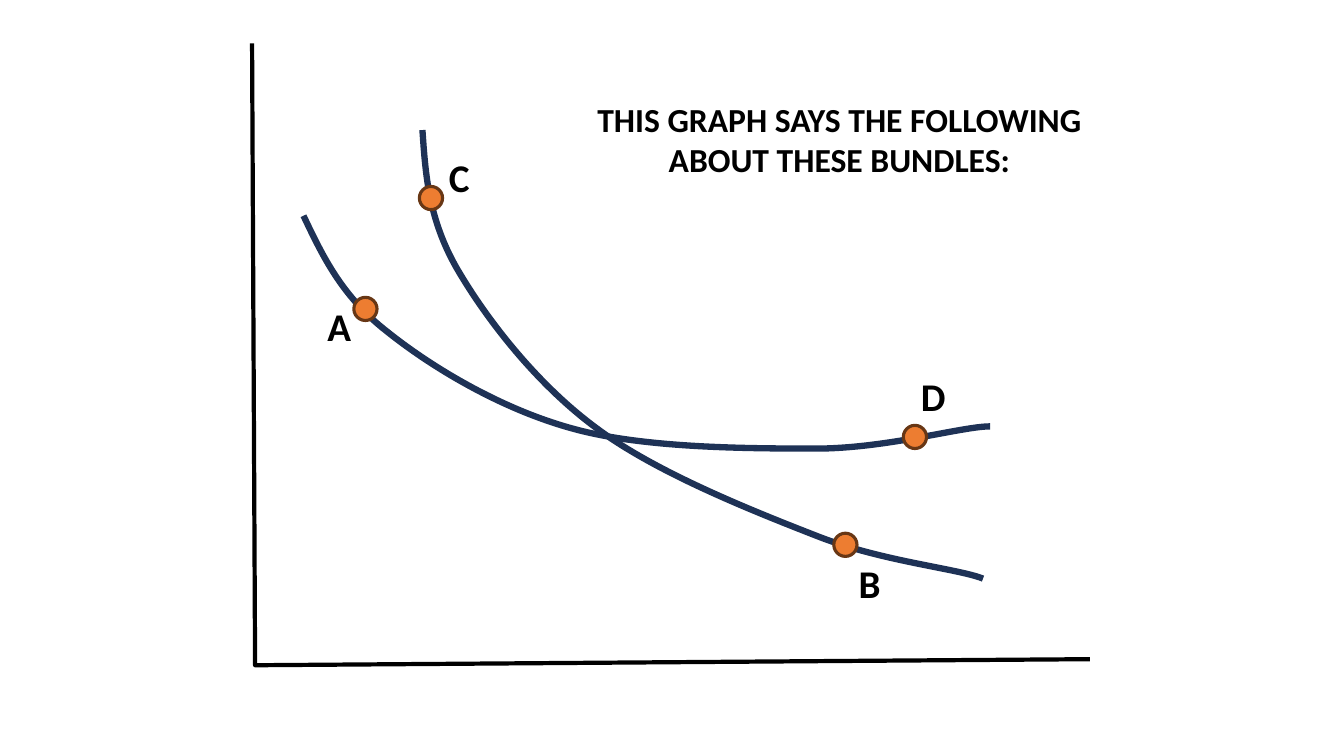
from lxml import etree
from pptx import Presentation
from pptx.dml.color import RGBColor
from pptx.enum.shapes import MSO_SHAPE as SHAPE
from pptx.enum.text import MSO_ANCHOR as ANCHOR, MSO_AUTO_SIZE as AUTO, PP_ALIGN as ALIGN
from pptx.oxml.ns import qn
from pptx.util import Inches, Pt

COLORS = {"ink": "000000", "curve": "1E3256", "dot": "ED7D31", "rim": "683715", "paper": "FFFFFF"}
AXES = [(2.5, 0.43), (2.53, 6.6), (10.81, 6.54)]
CURVES = [
    [(3.01, 2.14), (3.2, 2.54), (3.39, 2.94), (3.84, 3.29), (4.29, 3.65), (4.99, 4.07), (5.71, 4.26),
     (6.42, 4.45), (7.46, 4.45), (8.14, 4.45), (8.83, 4.44), (9.55, 4.23), (9.82, 4.23)],
    [(4.19, 1.29), (4.22, 1.73), (4.25, 2.17), (4.53, 2.66), (4.82, 3.16), (5.32, 3.81), (5.92, 4.25),
     (6.51, 4.69), (7.47, 5.07), (8.11, 5.32), (8.75, 5.57), (9.5, 5.64), (9.75, 5.74)],
]
BUNDLES = [
    ("C", (4.16, 1.85), (4.31, 1.47)),
    ("A", (3.51, 2.95), (3.12, 2.95)),
    ("D", (8.96, 4.22), (9.01, 3.64)),
    ("B", (8.27, 5.29), (8.38, 5.5)),
]


class GraphSlide:
    font = "Calibri"

    def __init__(self, prs):
        self.s = prs.slides.add_slide(prs.slide_layouts[5])
        fill = self.s.background.fill
        fill.solid()
        fill.fore_color.rgb = self.color("paper")

    def color(self, name):
        return RGBColor.from_string(COLORS[name])

    def outline(self, sp, color, width):
        sp.shadow.inherit = False
        sp.line.color.rgb = self.color(color)
        sp.line.width = Pt(width)

    def polyline(self, points, color, width):
        start, *rest = [(Inches(x), Inches(y)) for x, y in points]
        builder = self.s.shapes.build_freeform(*start)
        builder.add_line_segments(rest, close=False)
        sp = builder.convert_to_shape()
        sp.fill.background()
        self.outline(sp, color, width)
        return sp

    def curve(self, points, color, width):
        sp = self.polyline(points, color, width)
        lines = list(sp._element.iter(qn("a:lnTo")))
        for i in range(0, len(lines), 3):
            bezier = etree.Element(qn("a:cubicBezTo"))
            lines[i].addprevious(bezier)
            for line in lines[i:i + 3]:
                bezier.append(line[0])
                line.getparent().remove(line)

    def dot(self, x, y, size=0.23):
        sp = self.s.shapes.add_shape(SHAPE.OVAL, Inches(x), Inches(y), Inches(size), Inches(size))
        sp.fill.solid()
        sp.fill.fore_color.rgb = self.color("dot")
        self.outline(sp, "rim", 2.25)

    def set_text(self, sp, text, size):
        tf = sp.text_frame
        tf.text = text
        tf.word_wrap = True
        tf.auto_size = AUTO.NONE
        tf.vertical_anchor = ANCHOR.TOP
        p = tf.paragraphs[0]
        p.alignment = ALIGN.CENTER
        p.font.name = self.font
        p.font.size = Pt(size)
        p.font.bold = True
        p.font.color.rgb = self.color("ink")

    def label(self, text, x, y):
        sp = self.s.shapes.add_textbox(Inches(x), Inches(y), Inches(0.49), Inches(0.57))
        self.set_text(sp, text, 28)

    def title(self, text, x, y, w, h):
        sp = self.s.shapes.title
        sp.left, sp.top, sp.width, sp.height = Inches(x), Inches(y), Inches(w), Inches(h)
        self.set_text(sp, text, 24)


def main():
    prs = Presentation()
    prs.slide_width, prs.slide_height = Inches(13.33), Inches(7.5)
    graph = GraphSlide(prs)
    graph.title("THIS GRAPH SAYS THE FOLLOWING ABOUT THESE BUNDLES:", 5.82, 0.93, 5.01, 1.31)
    graph.polyline(AXES, "ink", 3)
    for points in CURVES:
        graph.curve(points, "curve", 4.5)
    for name, dot_at, label_at in BUNDLES:
        graph.dot(*dot_at)
        graph.label(name, *label_at)
    prs.save("out.pptx")


if __name__ == "__main__":
    main()
